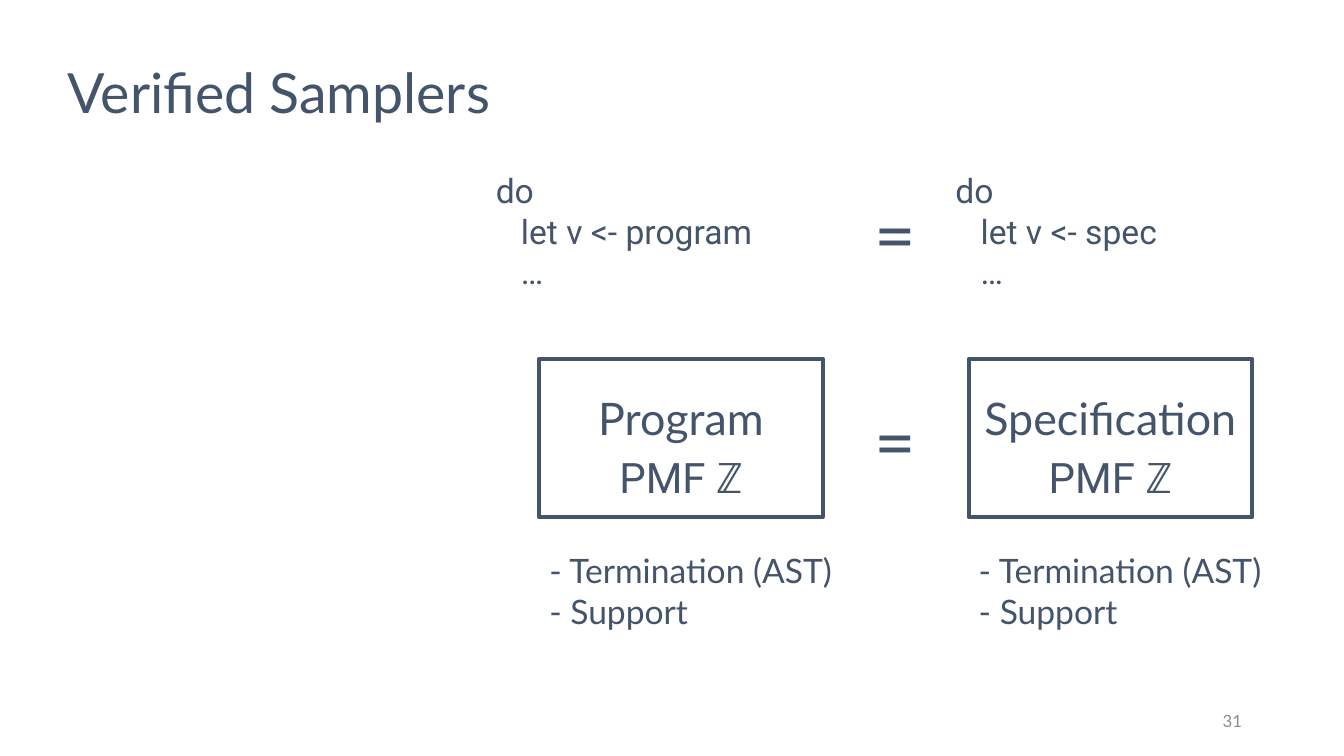
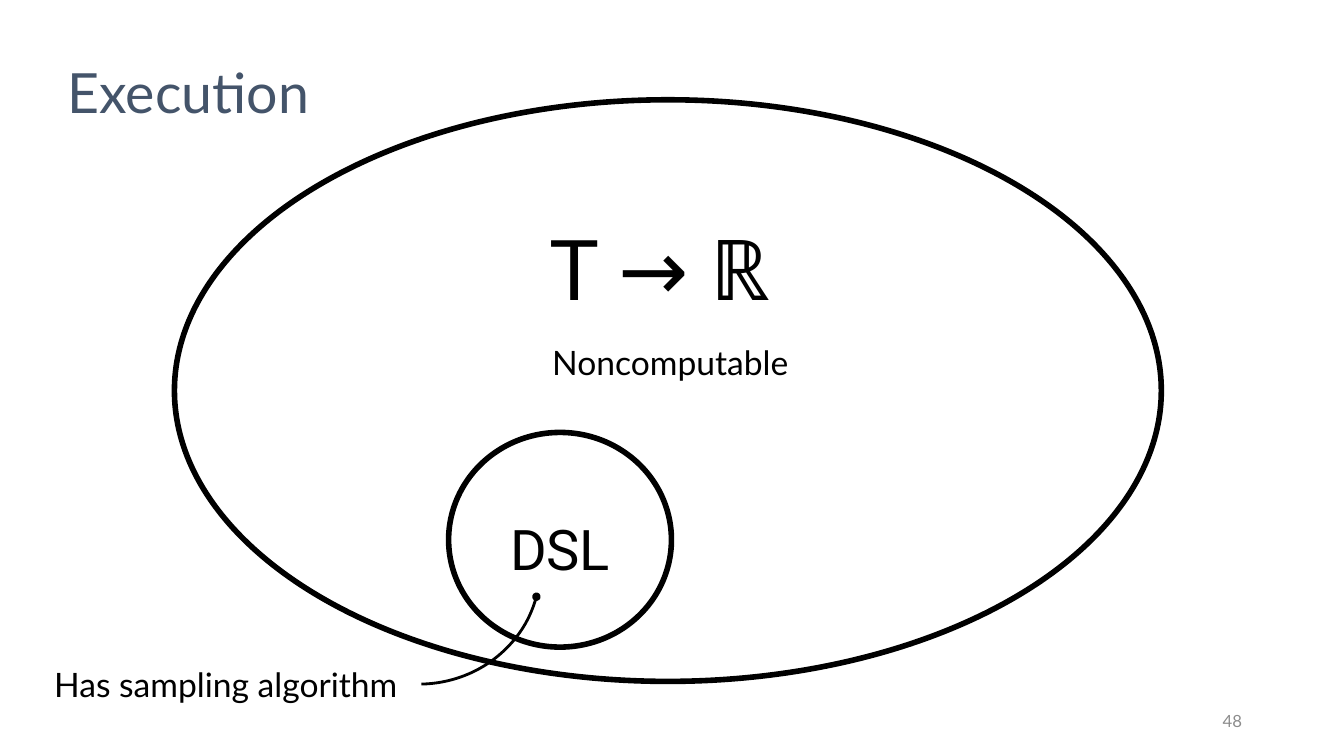
from pptx import Presentation
from pptx.dml.color import RGBColor as RGB
from pptx.enum.shapes import MSO_SHAPE as SHAPE
from pptx.enum.text import MSO_ANCHOR as ANCHOR, PP_ALIGN as ALIGN
from pptx.oxml.ns import qn
from pptx.util import Inches, Pt
from lxml import etree

W, H = Inches(13.33), Inches(7.5)
COLORS = {"slate": "44546A", "grey": "8C8C8C", "black": "000000", "white": "FFFFFF"}

# Text formats: size, font, colour key
TITLE = (39.6, "Lato", "slate")
NUMBER = (12, "Lato", "grey")
EQUALS = (54, "Calibri", "slate")
CODE = (24, "Roboto", "slate")
HEADING = (32, "Lato", "slate")
TYPE = (30, "Roboto", "slate")
POINTS = (24, "Lato", "slate")
LABEL = (24, "Lato", "black")
FORMULA = (60, "Roboto", "black")
SYMBOL = (60, "Lato", "black")
DSL = (40, "Roboto", "black")


def rgb(key):
    return RGB.from_string(COLORS[key])


def place(x, y, w, h):
    """Turn percentages of the slide into lengths."""
    return [int(v * side / 100) for v, side in zip((x, y, w, h), (W, H, W, H))]


def add_run(p, text, fmt):
    r = p.add_run()
    r.text = text
    size, name, color = fmt
    for attr, value in {"size": Pt(size), "name": name}.items():
        setattr(r.font, attr, value)
    r.font.color.rgb = rgb(color)


def write(sp, lines, fmt, align=ALIGN.LEFT, anchor=ANCHOR.TOP, spacing=None):
    """Fill a shape with lines; a line is a string or a list of (text, format)."""
    tf = sp.text_frame
    for attr, value in {"word_wrap": True, "vertical_anchor": anchor}.items():
        setattr(tf, attr, value)
    for i, line in enumerate(lines):
        p = tf.add_paragraph() if i else tf.paragraphs[0]
        for attr, value in {"alignment": align, "line_spacing": spacing}.items():
            setattr(p, attr, value)
        for text, run_fmt in [(line, fmt)] if isinstance(line, str) else line:
            add_run(p, text, run_fmt)
    return tf


def add_text(s, box, lines, fmt, **layout):
    return write(s.shapes.add_textbox(*place(*box)), lines, fmt, **layout)


def add_outline(s, kind, box, line=None, width=0, fill=None):
    sp = s.shapes.add_shape(kind, *place(*box))
    sp.shadow.inherit = False
    if fill:
        sp.fill.solid()
        sp.fill.fore_color.rgb = rgb(fill)
    else:
        sp.fill.background()
    if line:
        sp.line.color.rgb = rgb(line)
        sp.line.width = Pt(width)
    else:
        sp.line.fill.background()
    return sp


def add_slide(prs, title, number):
    """Blank slide with the shared title and slide number."""
    s = prs.slides.add_slide(prs.slide_layouts[6])
    add_text(s, (4.28, 8.8, 90, 8.67), [title], TITLE, anchor=ANCHOR.MIDDLE, spacing=0.7)
    add_text(s, (70.65, 92.67, 22.5, 5.33), [str(number)], NUMBER,
             align=ALIGN.RIGHT, anchor=ANCHOR.MIDDLE)
    return s


def add_code(s, x, lines):
    """Code block with every line after the first indented."""
    tf = add_text(s, (x, 21.87, 27.08, 17.47), lines, CODE)
    for p in tf.paragraphs[1:]:
        p._p.get_or_add_pPr().set("marL", str(Inches(0.25)))


def add_equals(s, y):
    sp = add_outline(s, SHAPE.RECTANGLE, (63.83, y, 5.63, 10), fill="white")
    write(sp, ["="], EQUALS, align=ALIGN.CENTER, anchor=ANCHOR.MIDDLE)


def add_card(s, x, heading):
    """Framed heading with its type, and the proved properties below."""
    w = 21.08
    sp = add_outline(s, SHAPE.RECTANGLE, (x, 47.47, w, 20.93), "slate", 3, "white")
    write(sp, [heading], HEADING, align=ALIGN.CENTER, spacing=1.5)
    add_text(s, (x, 59.07, w, 8.13), ["PMF ℤ"], TYPE, align=ALIGN.CENTER)
    add_text(s, (x, 72.13, 26, 12.13), ["- Termination (AST)", "- Support"], POINTS)


def add_pointer(s, box, rotation, end):
    """Curved leader line that starts with a dot."""
    sp = add_outline(s, SHAPE.ARC, box, "black", 2)
    sp.adjustments[1] = end
    sp.rotation = rotation
    ln = sp.element.spPr.find(qn("a:ln"))
    etree.SubElement(ln, qn("a:headEnd"), type="oval")


def samplers_slide(prs):
    s = add_slide(prs, "Verified Samplers", 31)
    columns = [(36.15, "program", 40.13, "Program"),
               (70.35, "spec", 72.08, "Specification")]
    for code_x, name, card_x, heading in columns:
        add_code(s, code_x, ["do", f"let v <- {name}", "…"])
        add_card(s, card_x, heading)
    for y in (25.6, 52.93):
        add_equals(s, y)


def execution_slide(prs):
    s = add_slide(prs, "Execution", 48)
    # Nested sets
    for box in ((12.98, 13.2, 73.43, 76.93), (33.38, 57.2, 16.58, 28.4)):
        add_outline(s, SHAPE.OVAL, box, "black", 4)
    # Labels
    labels = [
        ((18.75, 28, 60.68, 14.8), [("T → ", FORMULA), ("ℝ", SYMBOL)], FORMULA),
        ((12.98, 67.47, 57.38, 10.27), "DSL", DSL),
        ((30, 44.53, 39.75, 6.67), "Noncomputable", LABEL),
        ((2.1, 87.2, 29.4, 6.67), "Has sampling algorithm", LABEL),
    ]
    for box, line, fmt in labels:
        add_text(s, box, [line], fmt, align=ALIGN.CENTER)
    add_pointer(s, (22.05, 58.13, 17.85, 32.93), rotation=105.3, end=205.36)


def main():
    prs = Presentation()
    prs.slide_width, prs.slide_height = W, H
    samplers_slide(prs)
    execution_slide(prs)
    prs.save("out.pptx")


if __name__ == "__main__":
    main()
